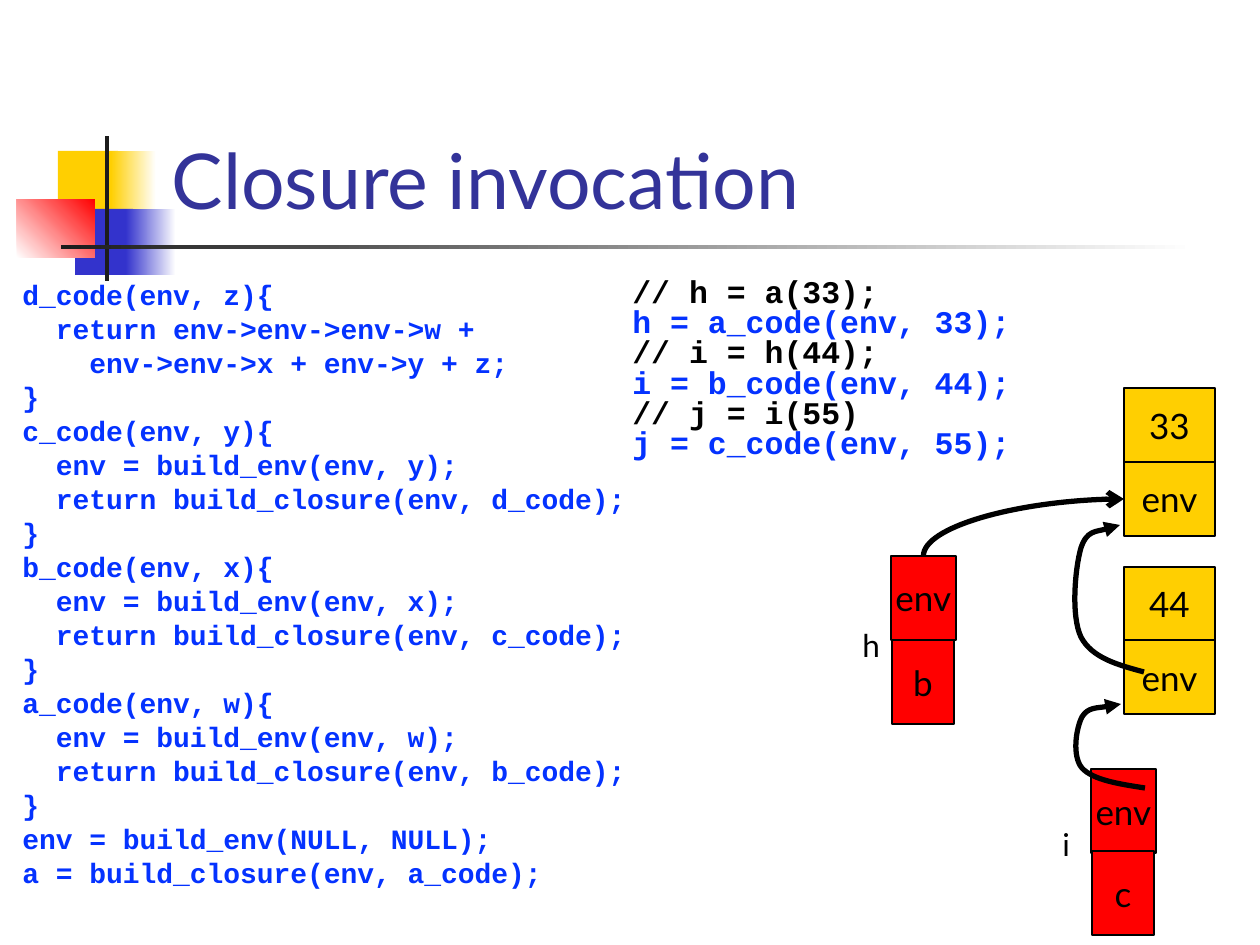
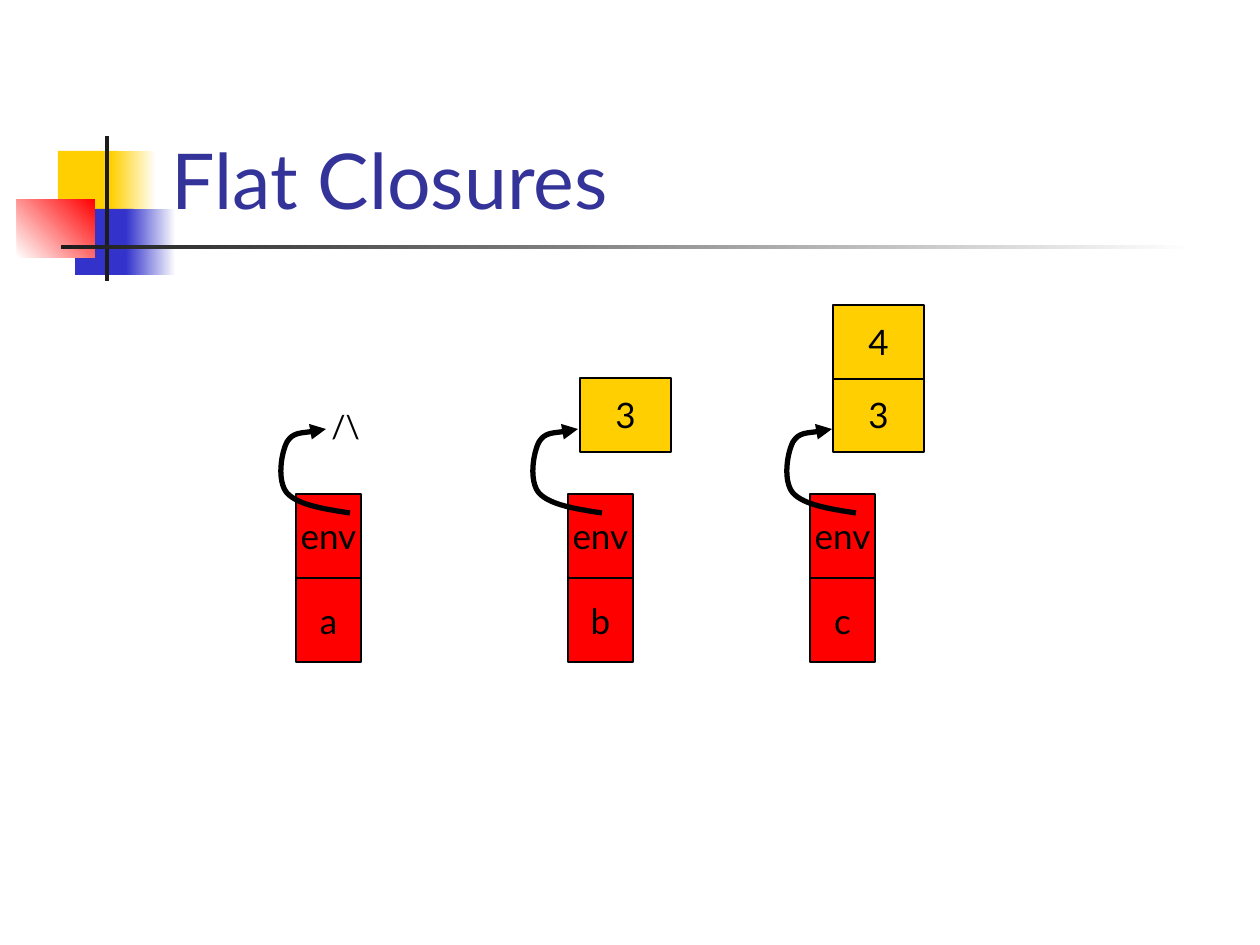
"""Build two slides on closure invocation and flat closures."""
from lxml import etree
from pptx import Presentation
from pptx import util as u
from pptx.dml.color import RGBColor
from pptx.enum import shapes, text
from pptx.oxml.ns import qn

PX = u.Inches(1) / 126
BLACK, WHITE, RED, YELLOW, BLUE = "000000", "FFFFFF", "FF0000", "FFCF01", "3333CC"
TITLE_COLOR, CODE_COLOR, RULE_COLOR = "333399", "0432FF", "1C1C1C"
FONT, CODE_FONT = "Lato", "Courier New"
rgb = RGBColor.from_string

CURVE = [(-26, -4), (-52, -8), (-63, -20),
         (-73, -32), (-69, -59), (-63, -71),
         (-57, -81), (-30, -82), (-24, -84)]


def add_cell(slide, left, top, width, height, fill, label):
    cell = slide.shapes.add_shape(
        shapes.MSO_SHAPE.RECTANGLE, *(round(n * PX) for n in (left, top, width, height)))
    cell.shadow.inherit = False
    cell.fill.solid()
    cell.fill.fore_color.rgb = rgb(fill)
    cell.line.color.rgb = rgb(BLACK)
    cell.line.width = u.Pt(0.75)
    frame = cell.text_frame
    frame.word_wrap = False
    frame.vertical_anchor = text.MSO_ANCHOR.MIDDLE
    frame.text = label
    paragraph = frame.paragraphs[0]
    paragraph.alignment = text.PP_ALIGN.CENTER
    paragraph.font.name = FONT
    paragraph.font.size = u.Pt(20)
    paragraph.font.color.rgb = rgb(BLACK)
    return cell


def add_pointer(slide, x, y, stretch=1):
    builder = slide.shapes.build_freeform(x, y, scale=PX)
    builder.add_line_segments(
        [(x + dx, y + round(dy * stretch)) for dx, dy in CURVE], close=False)
    pointer = builder.convert_to_shape()
    outline = next(pointer.element.iter(qn("a:path")))
    segments = outline.findall(qn("a:lnTo"))
    for start in range(0, len(segments), 3):
        bend = etree.SubElement(outline, qn("a:cubicBezTo"))
        for segment in segments[start:start + 3]:
            bend.append(segment[0])
            outline.remove(segment)
    pointer.shadow.inherit = False
    pointer.fill.background()
    pointer.line.color.rgb = rgb(BLACK)
    pointer.line.width = u.Pt(3)
    etree.SubElement(pointer.element.spPr.find(qn("a:ln")), qn("a:tailEnd"), type="triangle")


prs = Presentation()
prs.slide_width, prs.slide_height = u.Inches(10), u.Inches(7.5)
layout = prs.slide_layouts[5]
invocation, flat = prs.slides.add_slide(layout), prs.slides.add_slide(layout)

for left, top, width, height, start, end, angle in [
    (58, 151, 60, 66, YELLOW, YELLOW, 0),
    (111, 151, 45, 66, YELLOW, WHITE, 0),
    (75, 209, 58, 66, BLUE, BLUE, 0),
    (126, 209, 50, 66, BLUE, WHITE, 0),
    (17, 199, 78, 59, WHITE, RED, 45),
    (105, 136, 4, 145, RULE_COLOR, RULE_COLOR, 0),
    (61, 245, 1134, 4, RULE_COLOR, WHITE, 0),
]:
    ornament = invocation.shapes.add_shape(
        shapes.MSO_SHAPE.RECTANGLE, *(round(n * PX) for n in (left, top, width, height)))
    ornament.shadow.inherit = False
    ornament.line.fill.background()
    if start == end:
        ornament.fill.solid()
        ornament.fill.fore_color.rgb = rgb(start)
    else:
        ornament.fill.gradient()
        ornament.fill.gradient_angle = angle
        for stop, color in zip(ornament.fill.gradient_stops, (start, end)):
            stop.color.rgb = rgb(color)
    layout.placeholders[0].element.addprevious(ornament.element)

for slide, heading in [(invocation, "Closure invocation"), (flat, "Flat Closures")]:
    title = slide.shapes.title
    title.left, title.top, title.width, title.height = (
        round(n * PX) for n in (159, 29, 1073, 202))
    title.text_frame.text = heading
    title.text_frame.vertical_anchor = text.MSO_ANCHOR.BOTTOM
    paragraph = title.text_frame.paragraphs[0]
    paragraph.alignment = text.PP_ALIGN.LEFT
    paragraph.font.name = FONT
    paragraph.font.size = u.Pt(44)
    paragraph.font.color.rgb = rgb(TITLE_COLOR)

definitions = """d_code(env, z){
  return env->env->env->w +
    env->env->x + env->y + z;
}
c_code(env, y){
  env = build_env(env, y);
  return build_closure(env, d_code);
}
b_code(env, x){
  env = build_env(env, x);
  return build_closure(env, c_code);
}
a_code(env, w){
  env = build_env(env, w);
  return build_closure(env, b_code);
}
env = build_env(NULL, NULL);
a = build_closure(env, a_code);"""
calls = """// h = a(33);
h = a_code(env, 33);
// i = h(44);
i = b_code(env, 44);
// j = i(55)
j = c_code(env, 55);"""

for code, left, top, width, size, gap in [
    (definitions, 10, 278, 640, 16, 4.05),
    (calls, 620, 273, 567, 18, 0),
]:
    listing = invocation.shapes.add_textbox(
        *(round(n * PX) for n in (left, top, width, 615))).text_frame
    listing.word_wrap = True
    listing.text = code
    for number, paragraph in enumerate(listing.paragraphs):
        paragraph.line_spacing = 0.8
        paragraph.space_before = u.Pt(gap if number else 0)
        paragraph.font.name = CODE_FONT
        paragraph.font.size = u.Pt(size)
        paragraph.font.bold = True
        paragraph.font.color.rgb = rgb(BLACK if paragraph.text.startswith("//") else CODE_COLOR)

for top, value in [(388, "33"), (567, "44")]:
    add_cell(invocation, 1124, top, 91, 74, YELLOW, value)
env_44 = add_cell(invocation, 1124, 640, 91, 74, YELLOW, "env")
env_33 = add_cell(invocation, 1124, 462, 91, 74, YELLOW, "env")
add_cell(invocation, 1091, 769, 65, 84, RED, "env")
add_cell(invocation, 1092, 851, 62, 84, RED, "c")
env_h = add_cell(invocation, 891, 556, 65, 84, RED, "env")
add_cell(invocation, 892, 640, 62, 84, RED, "b")
add_pointer(invocation, 1145, 788)
add_pointer(invocation, 1144, 672, 1.75)

h_link = invocation.shapes.add_connector(shapes.MSO_CONNECTOR.CURVE, 0, 0, 0, 0)
h_link.begin_connect(env_h, 0)
h_link.end_connect(env_33, 1)
shift = (h_link.width - h_link.height) // 2
h_link.left, h_link.top = h_link.left + shift, h_link.top - shift
h_link.width, h_link.height = h_link.height, h_link.width
h_link.line.color.rgb = rgb(BLACK)
h_link.line.width = u.Pt(3)
link_props = h_link.element.spPr
for key, value in [("rot", "5400000"), ("flipH", "1"), ("flipV", "1")]:
    link_props.find(qn("a:xfrm")).set(key, value)
link_props.find(qn("a:prstGeom")).set("prst", "curvedConnector2")
etree.SubElement(link_props.find(qn("a:ln")), qn("a:tailEnd"), type="arrow")
etree.SubElement(link_props, qn("a:effectLst"))

for left, name in [(296, "a"), (568, "b"), (810, "c")]:
    add_cell(flat, left, 494, 65, 84, RED, "env")
    add_cell(flat, left, 578, 65, 84, RED, name)
for left, top, value in [(580, 378, "3"), (833, 378, "3"), (833, 305, "4")]:
    add_cell(flat, left, top, 91, 74, YELLOW, value)
for x in (350, 602, 856):
    add_pointer(flat, x, 513)

for slide, left, top, width, label in [
    (invocation, 850, 620, 63, "h"),
    (invocation, 1050, 819, 63, "i"),
    (flat, 319, 401, 116, "/\\"),
]:
    caption = slide.shapes.add_textbox(
        *(round(n * PX) for n in (left, top, width, 52))).text_frame
    caption.word_wrap = True
    caption.text = label
    paragraph = caption.paragraphs[0]
    paragraph.font.name = FONT
    paragraph.font.size = u.Pt(18)
    paragraph.font.color.rgb = rgb(BLACK)

prs.save("out.pptx")
